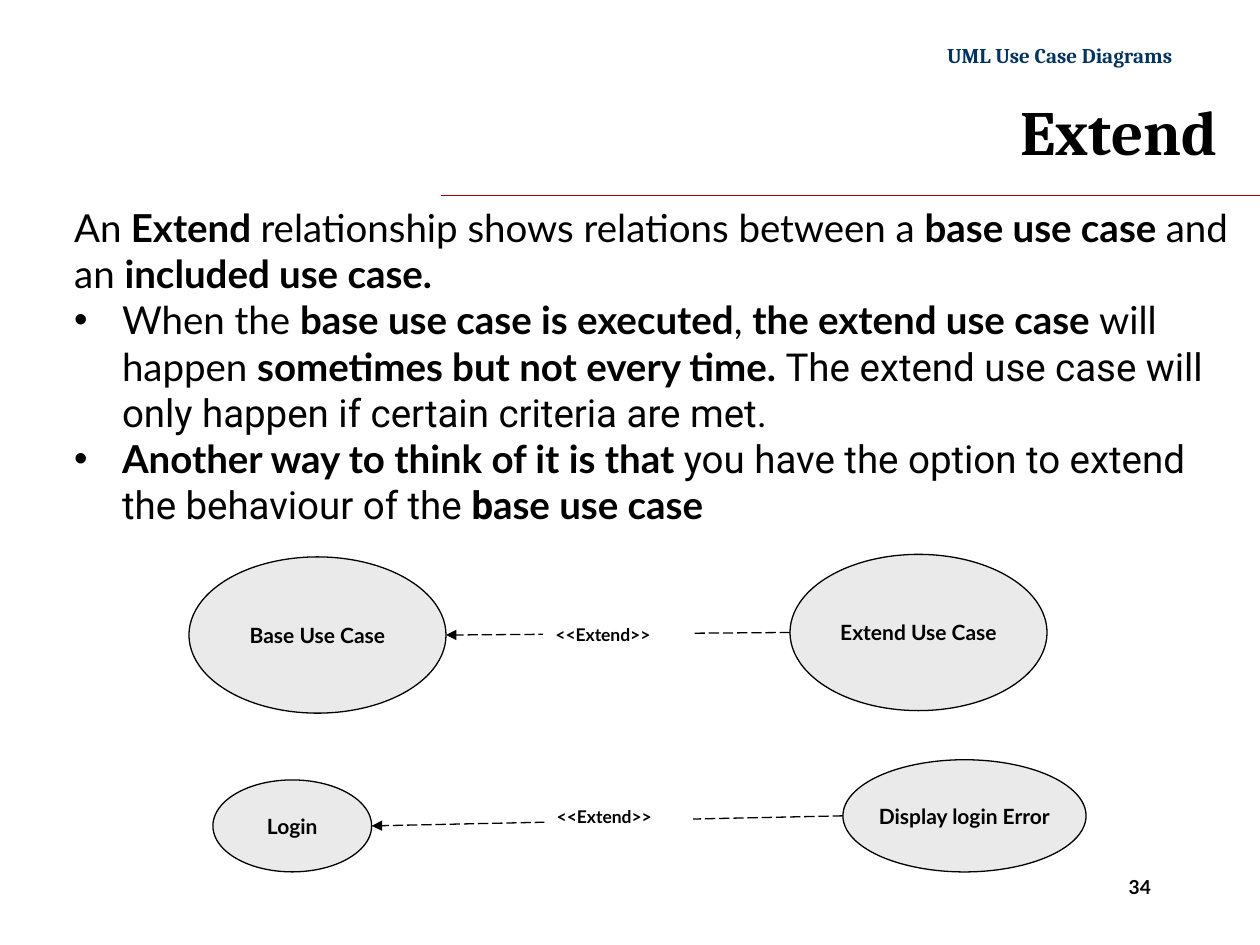
import lxml.etree
import pptx
import pptx.dml.color
import pptx.enum.dml
import pptx.enum.shapes
import pptx.enum.text
import pptx.oxml.ns
import pptx.util

PX = 9144  # 100 px to the inch
ALIGN = pptx.enum.text.PP_ALIGN
ANCHOR = pptx.enum.text.MSO_ANCHOR
SHAPE = pptx.enum.shapes.MSO_SHAPE
GROW = pptx.enum.text.MSO_AUTO_SIZE.SHAPE_TO_FIT_TEXT

PLAIN = {"name": "Lato", "bold": False, "color": "000000"}
BOLD = {**PLAIN, "bold": True}
SOFT = {"name": "Roboto", "bold": False, "color": "030303"}
SOFT_BOLD = {**SOFT, "bold": True}
HEADING = {**BOLD, "name": "Cambria"}

DEFINITION = [
    ("An", PLAIN), (" Extend ", BOLD),
    ("relationship shows relations between a ", PLAIN),
    ("base use case ", BOLD), ("and an ", PLAIN), ("included use case.", BOLD),
]
BULLETS = [
    [
        ("When the ", PLAIN), ("base use case is executed", BOLD), (", ", PLAIN),
        ("the extend use case ", BOLD), ("will happen ", PLAIN),
        ("sometimes but not every time. ", BOLD),
        ("The extend use case will only happen if certain criteria are met.", SOFT),
    ],
    [
        ("Another way to think of it is that ", BOLD),
        ("you have the option to extend the behaviour of the ", SOFT),
        ("b", SOFT_BOLD), ("ase use case", BOLD),
    ],
]


def px(length):
    return pptx.util.Emu(round(length * PX))


def rgb(value):
    return pptx.dml.color.RGBColor.from_string(value)


def set_values(target, values):
    for name, value in values.items():
        setattr(target, name, value)


def add_xml(parent, tag, **attributes):
    return lxml.etree.SubElement(parent, pptx.oxml.ns.qn(tag), attributes)


class Page:
    def __init__(self, slide):
        self.shapes = slide.shapes
        self.line_color = "000000"
        self.line_width = pptx.util.Pt(0.75)

    def add_spans(self, para, spans, size):
        for text, style in spans:
            span = para.add_run()
            span.text = text
            set_values(span.font, {"size": pptx.util.Pt(size), "name": style["name"],
                                   "bold": style["bold"]})
            span.font.color.rgb = rgb(style["color"])

    def bullet(self, para, indent):
        properties = para._p.get_or_add_pPr()
        properties.set("marL", str(px(indent)))
        properties.set("indent", str(px(-indent)))
        add_xml(properties, "a:buFont", typeface="Arial")
        add_xml(properties, "a:buChar", char="•")

    def text(self, place, spans, size, align=ALIGN.LEFT, **frame_format):
        box = self.shapes.add_textbox(*map(px, place))
        set_values(box.text_frame, {"word_wrap": True, **frame_format})
        para = box.text_frame.paragraphs[0]
        para.alignment = align
        self.add_spans(para, spans, size)
        return box

    def use_case(self, place, label):
        oval = self.shapes.add_shape(SHAPE.OVAL, *map(px, place))
        oval.shadow.inherit = False
        oval.fill.solid()
        oval.fill.fore_color.rgb = rgb("EAEAEA")
        oval.line.color.rgb = rgb(self.line_color)
        oval.line.width = self.line_width
        set_values(oval.text_frame,
                   {"word_wrap": False, "vertical_anchor": ANCHOR.MIDDLE})
        para = oval.text_frame.paragraphs[0]
        para.alignment = ALIGN.CENTER
        self.add_spans(para, [(label, BOLD)], 12)

    def line(self, start, end, color=None):
        connector = self.shapes.add_connector(
            pptx.enum.shapes.MSO_CONNECTOR.STRAIGHT, *map(px, start + end))
        connector.line.color.rgb = rgb(color or self.line_color)
        connector.line.width = self.line_width
        add_xml(connector._element.spPr, "a:effectLst")
        return connector

    def dashed_arrow(self, start, end):
        connector = self.line(start, end)
        connector.line.dash_style = pptx.enum.dml.MSO_LINE.LONG_DASH
        add_xml(connector.get_or_add_ln(), "a:tailEnd", type="triangle")

    def extend_label(self, place):
        box = self.text(place, [("<<Extend>>", BOLD)], 10, auto_size=GROW)
        box.fill.solid()
        box.fill.fore_color.rgb = rgb("FFFFFF")

    def extension(self, base, base_label, extender, extender_label, label_place):
        """Two use cases, with an arrow from the extending one to the base."""
        self.use_case(base, base_label)
        self.use_case(extender, extender_label)
        left, top, width, height = base
        self.dashed_arrow((extender[0], extender[1] + extender[3] / 2),
                          (left + width, top + height / 2))
        self.extend_label(label_place)


def main():
    deck = pptx.Presentation()
    set_values(deck, {"slide_width": px(1000), "slide_height": px(750)})
    page = Page(deck.slides.add_slide(deck.slide_layouts[6]))

    page.text((886, 690, 89, 29), [("34", BOLD)], 11, auto_size=GROW)
    page.line((350, 155), (1000, 155), "A80000")
    page.text((737, 29, 207, 30),
              [("UML Use Case Diagrams ", {**HEADING, "color": "003366"})], 12,
              ALIGN.RIGHT, word_wrap=False, auto_size=GROW)
    page.text((209, 66, 767, 75), [("Extend", HEADING)], 36, ALIGN.RIGHT,
              vertical_anchor=ANCHOR.MIDDLE)

    body = page.text((49, 157, 951, 269), DEFINITION, 22, auto_size=GROW)
    for spans in BULLETS:
        para = body.text_frame.add_paragraph()
        page.bullet(para, 38)
        page.add_spans(para, spans, 22)

    page.extension((150, 442, 204, 124), "Base Use Case",
                   (627, 440, 204, 124), "Extend Use Case", (431, 490, 118, 27))
    page.extension((169, 619, 126, 73), "Login",
                   (669, 603, 193, 89), "Display login Error", (432, 635, 118, 27))

    deck.save("out.pptx")


if __name__ == "__main__":
    main()
